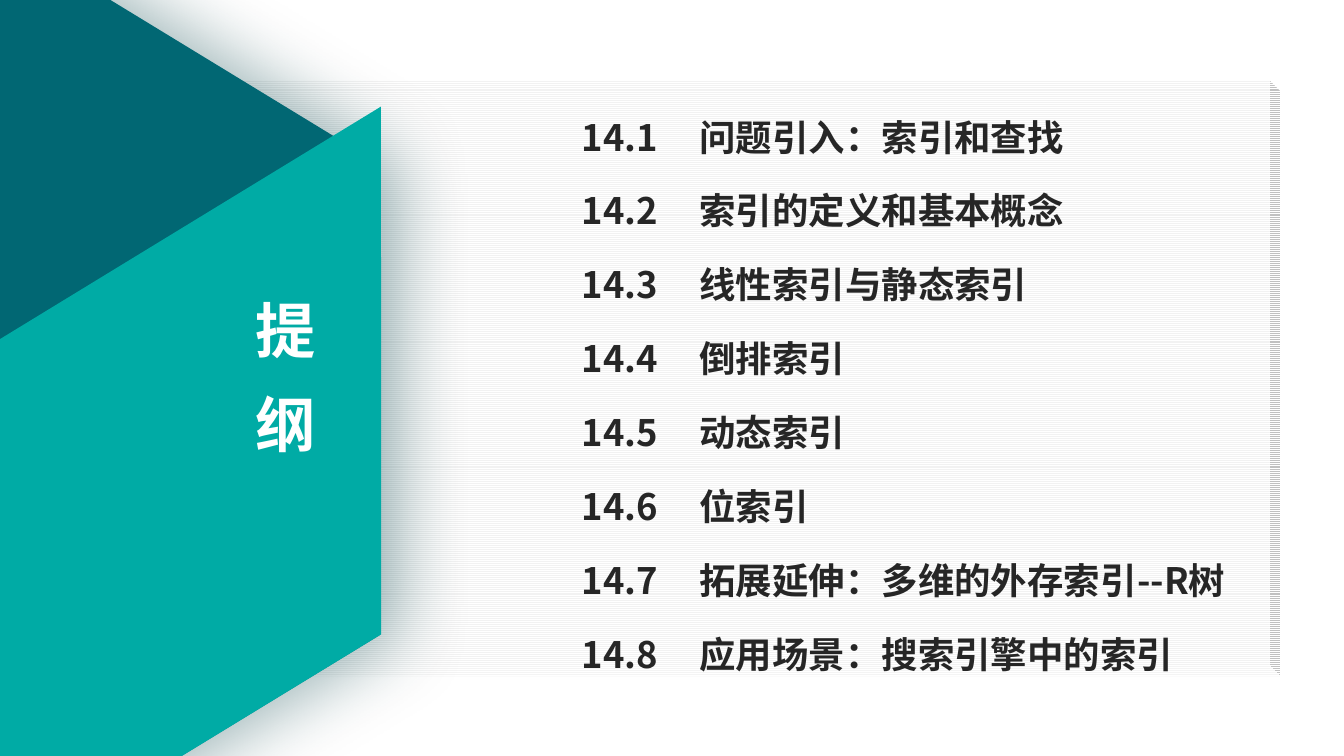
from lxml import etree
from pptx import Presentation
from pptx.dml.color import RGBColor
from pptx.enum.dml import MSO_PATTERN
from pptx.enum.shapes import MSO_SHAPE
from pptx.enum.text import MSO_ANCHOR, PP_ALIGN
from pptx.oxml.ns import qn
from pptx.util import Inches, Pt

CUBE, HEXAGON, SLANT = MSO_SHAPE.CUBE, MSO_SHAPE.HEXAGON, MSO_SHAPE.PARALLELOGRAM
STRIPES = MSO_PATTERN.LIGHT_HORIZONTAL
LEFT, CENTER, TOP = PP_ALIGN.LEFT, PP_ALIGN.CENTER, MSO_ANCHOR.TOP

WHITE = RGBColor(0xFF, 0xFF, 0xFF)
PALE = RGBColor(0xF2, 0xF2, 0xF2)
INK = RGBColor(0x26, 0x26, 0x26)
DEEP = RGBColor(0x01, 0x67, 0x73)
SEA = RGBColor(0x00, 0x76, 0x84)
TEAL = RGBColor(0x00, 0xAB, 0xA5)
SHADE = RGBColor(0x01, 0x3F, 0x45)
BLACK = RGBColor(0, 0, 0)
FONT = "Noto Sans CJK SC"


def shadow(color, alpha, blur, dist, angle):
    effects = etree.Element(qn("a:effectLst"))
    outer = etree.SubElement(
        effects, qn("a:outerShdw"), blurRad=str(Pt(blur)), dist=str(Pt(dist)),
        dir=str(angle * 60000), algn="ctr", rotWithShape="0")
    tint = etree.SubElement(outer, qn("a:srgbClr"), val=str(color))
    etree.SubElement(tint, qn("a:alpha"), val=str(alpha * 1000))
    return effects


def write(frame, lines, size, color, pitch, align=LEFT, before=0, tab=None, shade=None):
    frame.word_wrap = True
    frame.vertical_anchor = TOP
    frame.margin_top = 0
    for i, line in enumerate(lines):
        para = frame.paragraphs[0] if i == 0 else frame.add_paragraph()
        para.alignment = align
        para.line_spacing = Pt(pitch)
        para.space_before = Pt(before if i else 0)
        if tab:
            stops = etree.SubElement(para._p.get_or_add_pPr(), qn("a:tabLst"))
            etree.SubElement(stops, qn("a:tab"), pos=str(tab), algn="l")
        run = para.add_run()
        run.text = line
        font = run.font
        font.size, font.bold, font.name = Pt(size), True, FONT
        font.color.rgb = color
        props = run._r.get_or_add_rPr()
        props.find(qn("a:latin")).addnext(etree.Element(qn("a:ea"), typeface=FONT))
        if shade is not None:
            props.find(qn("a:solidFill")).addnext(shade)
            shade = shadow(BLACK, 43, 3, 3, 45)


prs = Presentation()
prs.slide_width, prs.slide_height = Inches(13.33), Inches(7.5)
slide = prs.slides.add_slide(prs.slide_layouts[5])
shapes = slide.shapes

# Striped panel, hexagon and slanted band, from back to front
parts = []
for kind, box, turn, adjust in (
    (CUBE, (0, 0.8, 12.7, 5.91), 0, [0.018]),
    (HEXAGON, (-6.21, -0.79, 10.46, 9.51), 90, [0.305, 1.155]),
    (SLANT, (-2.74, 2.89, 8.29, 4.47), 328.6, [0.61]),
):
    part = shapes.add_shape(kind, *map(Inches, box))
    part.rotation = turn
    for i, value in enumerate(adjust):
        part.adjustments[i] = value
    part.line.fill.background()
    part.shadow.inherit = False
    parts.append(part)
panel, hexagon, band = parts

panel._element.spPr.xfrm.set("flipV", "1")
panel.fill.patterned()
panel.fill.pattern = STRIPES
panel.fill.fore_color.rgb, panel.fill.back_color.rgb = PALE, WHITE

hexagon.fill.gradient()
hexagon.fill.gradient_angle = 270
for stop, place, color in zip(hexagon.fill.gradient_stops, (0.77, 1), (DEEP, SEA)):
    stop.position, stop.color.rgb = place, color
props = hexagon._element.spPr
props.replace(props.find(qn("a:effectLst")), shadow(SHADE, 40, 55, 13, 0))

band.fill.solid()
band.fill.fore_color.rgb = TEAL

# Title, one character to a line, in front of the band
title = shapes.title
title.left, title.top = Inches(2.33), Inches(2.7)
title.width, title.height = Inches(1), Inches(2)
write(title.text_frame, "提纲", size=43, color=WHITE, pitch=67, align=CENTER,
      shade=shadow(BLACK, 43, 3, 3, 45))
shapes._spTree.append(title._element)

# Outline of the chapter
topics = ["问题引入：索引和查找", "索引的定义和基本概念", "线性索引与静态索引", "倒排索引",
          "动态索引", "位索引", "拓展延伸：多维的外存索引--R树", "应用场景：搜索引擎中的索引"]
outline = shapes.add_textbox(Inches(5.67), Inches(0.92), Inches(7.04), Inches(5.81))
write(outline.text_frame, [f"14.{n}\t{topic}" for n, topic in enumerate(topics, 1)],
      size=26, color=INK, pitch=46.8, before=6, tab=Inches(1.17))

prs.save("out.pptx")
